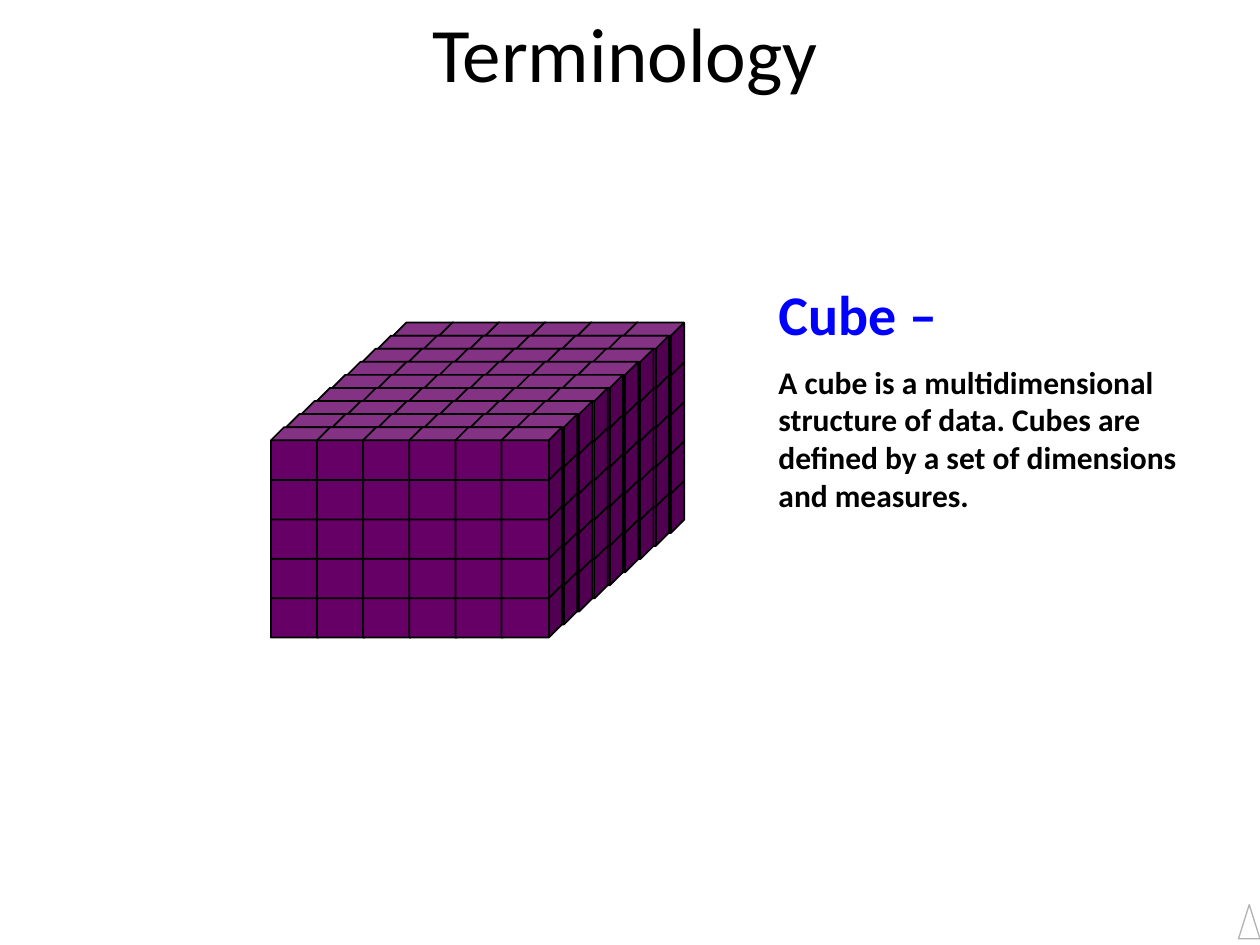
from itertools import product

from pptx import Presentation
from pptx import util as u
from pptx.dml.color import RGBColor
from pptx.enum import shapes, text

BLACK = RGBColor(0, 0, 0)
BLUE = RGBColor(0, 0, 0xFF)
PURPLE = RGBColor(0x66, 0, 0x66)
GREY = RGBColor(0xB2, 0xB2, 0xB2)

TITLE = ("Terminology", {"size": u.Pt(44), "name": "Calibri", "color": BLACK})
DEFINITION = [
    ("Cube –", {"size": u.Pt(32), "name": "Calibri", "bold": True, "color": BLUE}),
    ("A cube is a multidimensional structure of data. "
     "Cubes are defined by a set of dimensions and measures.",
     {"size": u.Pt(18), "name": "Calibri", "bold": True, "color": BLACK}),
]
COLUMNS, ROWS, LAYERS = 6, 5, 9
FRONT_LEFT, FRONT_TOP = 2.15, 3.39
COLUMN_STEP, ROW_STEP = 1.83 / 5, 1.25 / 4
LAYER_RIGHT, LAYER_UP = 0.97 / 8, 0.83 / 8
CELL = (0.48, 0.42)


def box(*lengths):
    return [u.Inches(length) for length in lengths]


def write(paragraph, words, style):
    run = paragraph.add_run()
    run.text = words
    for key, value in style.items():
        if key == "color":
            run.font.color.rgb = value
        else:
            setattr(run.font, key, value)


def draw(owner, preset, place, line, width, fill=None):
    shape = owner.add_shape(preset, *box(*place))
    shape.shadow.inherit = False
    if fill is None:
        shape.fill.background()
    else:
        shape.fill.solid()
        shape.fill.fore_color.rgb = fill
    shape.line.color.rgb = line
    shape.line.width = u.Pt(width)
    return shape


def main():
    """Build the slide that defines a data cube."""
    deck = Presentation()
    deck.slide_width, deck.slide_height = box(10, 7.5)
    slide = deck.slides.add_slide(deck.slide_layouts[5])

    title = slide.shapes.title
    title.left, title.top, title.width, title.height = box(3.33, 0, 4.17, 0.82)
    title.text_frame.vertical_anchor = text.MSO_ANCHOR.MIDDLE
    heading = title.text_frame.paragraphs[0]
    heading.alignment = text.PP_ALIGN.LEFT
    write(heading, *TITLE)

    definition = slide.shapes.add_textbox(*box(6.08, 2.17, 3.52, 3.09)).text_frame
    definition.word_wrap = True
    for index, (words, style) in enumerate(DEFINITION):
        paragraph = definition.add_paragraph() if index else definition.paragraphs[0]
        if index:
            paragraph.space_before = u.Pt(9)
        write(paragraph, words, style)

    cube = slide.shapes.add_group_shape().shapes
    for layer, column, row in product(
            reversed(range(LAYERS)), range(COLUMNS), reversed(range(ROWS))):
        if layer and row and column < COLUMNS - 1:
            continue
        left = FRONT_LEFT + column * COLUMN_STEP + layer * LAYER_RIGHT
        top = FRONT_TOP + row * ROW_STEP - layer * LAYER_UP
        cell = draw(cube, shapes.MSO_SHAPE.CUBE, (left, top, *CELL), BLACK, 1, PURPLE)
        cell.adjustments[0] = 0.25

    draw(slide.shapes, shapes.MSO_SHAPE.ISOSCELES_TRIANGLE,
         (9.83, 7.18, 0.17, 0.27), GREY, 0.75)
    deck.save("out.pptx")


if __name__ == "__main__":
    main()
